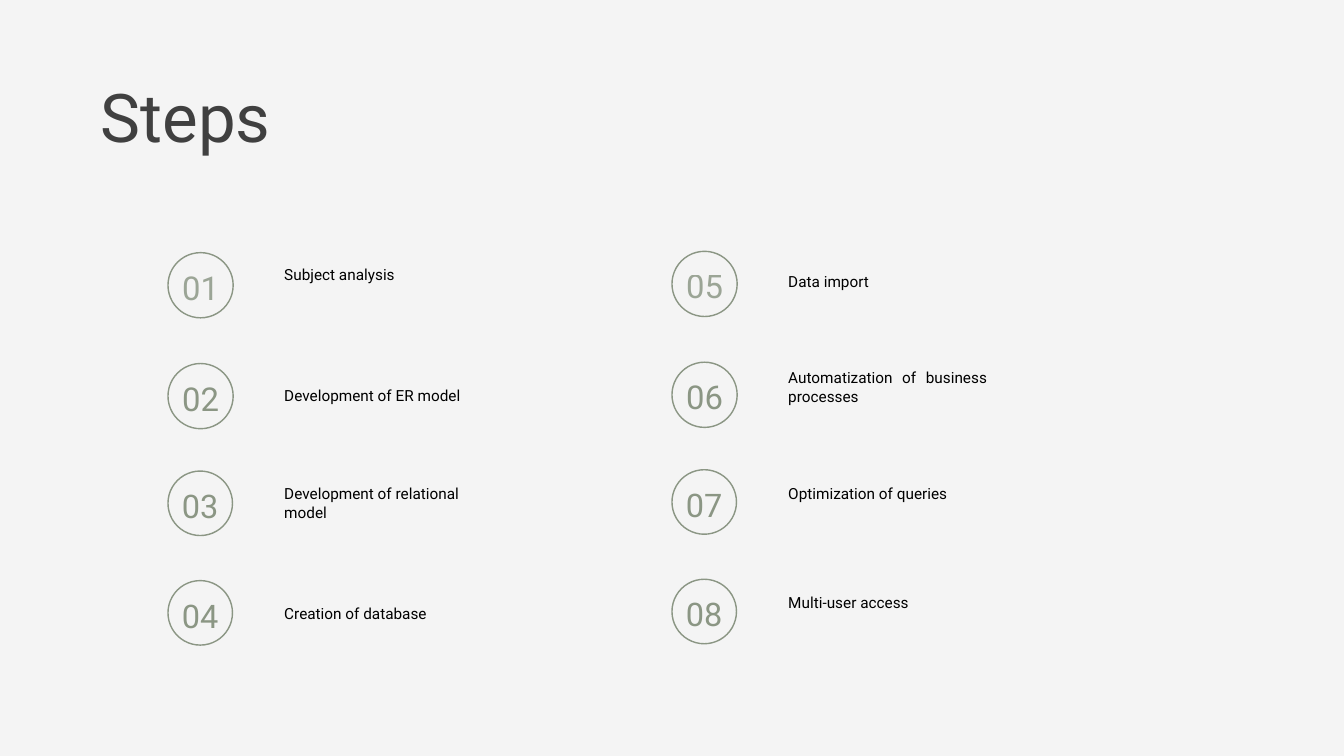
import dataclasses

import pptx
import pptx.dml.color
import pptx.enum.shapes
import pptx.enum.text
import pptx.oxml.ns
import pptx.util
from lxml import etree
from pptx.util import Inches

ALIGN = pptx.enum.text.PP_ALIGN


@dataclasses.dataclass(frozen=True)
class Theme:
    font: str = "Roboto"
    background: str = "F4F4F4"
    heading: str = "404040"
    body: str = "000000"
    accent: str = "8B9684"
    title_size: float = 72
    label_size: float = 16.4
    large_number: float = 35.2
    small_number: float = 34.8
    title_leading: float = 87.8
    label_leading: float = 20.1
    number_leading: float = 1.4  # multiple of the number size
    outline: float = 1.5


THEME = Theme()


@dataclasses.dataclass(frozen=True)
class Row:
    top: float
    diameter: float
    number_drop: float
    number_size: float
    opacity: int = 100


ROWS = [
    Row(3.76, 0.97, 0.12, THEME.large_number, opacity=83),
    Row(5.41, 0.97, 0.12, THEME.large_number),
    Row(7.01, 0.96, 0.13, THEME.small_number),
    Row(8.64, 0.96, 0.13, THEME.small_number),
]

# Each column: left edge, vertical shift of its badges, steps as
# (label, label top, lines, alignment)
COLUMNS = [
    (2.5, 0, [
        ("Subject analysis", 3.94, 1, ALIGN.LEFT),
        ("Development of ER model", 5.74, 1, ALIGN.LEFT),
        ("Development of relational model", 7.2, 2, ALIGN.LEFT),
        ("Creation of database", 8.98, 1, ALIGN.LEFT),
    ]),
    (10, -0.02, [
        ("Data import", 4.05, 1, ALIGN.LEFT),
        ("Automatization of business processes", 5.47, 2, ALIGN.JUSTIFY),
        ("Optimization of queries", 7.2, 1, ALIGN.LEFT),
        ("Multi-user access", 8.82, 1, ALIGN.LEFT),
    ]),
]
LABEL_OFFSET, LABEL_WIDTH, LABEL_LINE = 1.73, 2.96, 0.28


def rgb(value):
    return pptx.dml.color.RGBColor.from_string(value)


def add_text(shapes, box, text, size, color, leading, align=ALIGN.LEFT):
    """Add a one-paragraph text box without insets and return its run."""
    frame = shapes.add_textbox(*map(Inches, box)).text_frame
    frame.word_wrap = True
    frame.auto_size = pptx.enum.text.MSO_AUTO_SIZE.SHAPE_TO_FIT_TEXT
    frame.margin_left = frame.margin_right = 0
    frame.margin_top = frame.margin_bottom = 0
    para = frame.paragraphs[0]
    para.alignment = align
    para.line_spacing = pptx.util.Pt(leading)
    span = para.add_run()
    span.text = text
    span.font.name = THEME.font
    span.font.size = pptx.util.Pt(size)
    span.font.color.rgb = rgb(color)
    return span


def set_opacity(span, percent):
    color = span.font.fill._xPr.find(".//" + pptx.oxml.ns.qn("a:srgbClr"))
    alpha = etree.SubElement(color, pptx.oxml.ns.qn("a:alpha"))
    alpha.set("val", str(percent * 1000))


def add_badge(slide, left, top, row, number):
    """Add a ring with its step number as one group."""
    shapes = slide.shapes.add_group_shape().shapes
    ring = shapes.add_shape(
        pptx.enum.shapes.MSO_SHAPE.OVAL,
        *map(Inches, (left, top, row.diameter, row.diameter)))
    ring.shadow.inherit = False
    ring.fill.background()
    ring.line.color.rgb = rgb(THEME.accent)
    ring.line.width = pptx.util.Pt(THEME.outline)
    leading = row.number_size * THEME.number_leading
    box = (left, top + row.number_drop, row.diameter, 0.65)
    span = add_text(shapes, box, f"{number:02}", row.number_size,
                    THEME.accent, leading, ALIGN.CENTER)
    if row.opacity < 100:
        set_opacity(span, row.opacity)


def add_column(slide, left, shift, steps, first_number):
    for number, (row, step) in enumerate(zip(ROWS, steps), first_number):
        label, label_top, lines, align = step
        add_badge(slide, left, row.top + shift, row, number)
        box = (left + LABEL_OFFSET, label_top, LABEL_WIDTH, lines * LABEL_LINE)
        add_text(slide.shapes, box, label, THEME.label_size, THEME.body,
                 THEME.label_leading, align)


def add_steps_slide(deck):
    slide = deck.slides.add_slide(deck.slide_layouts[6])
    slide.background.fill.solid()
    slide.background.fill.fore_color.rgb = rgb(THEME.background)
    add_text(slide.shapes, (1.5, 1.1, 9.95, 1.22), "Steps", THEME.title_size,
             THEME.heading, THEME.title_leading)
    for index, (left, shift, steps) in enumerate(COLUMNS):
        add_column(slide, left, shift, steps, index * len(ROWS) + 1)


def main():
    deck = pptx.Presentation()
    deck.slide_width = Inches(20)
    deck.slide_height = Inches(11.25)
    add_steps_slide(deck)
    deck.save("out.pptx")


if __name__ == "__main__":
    main()
